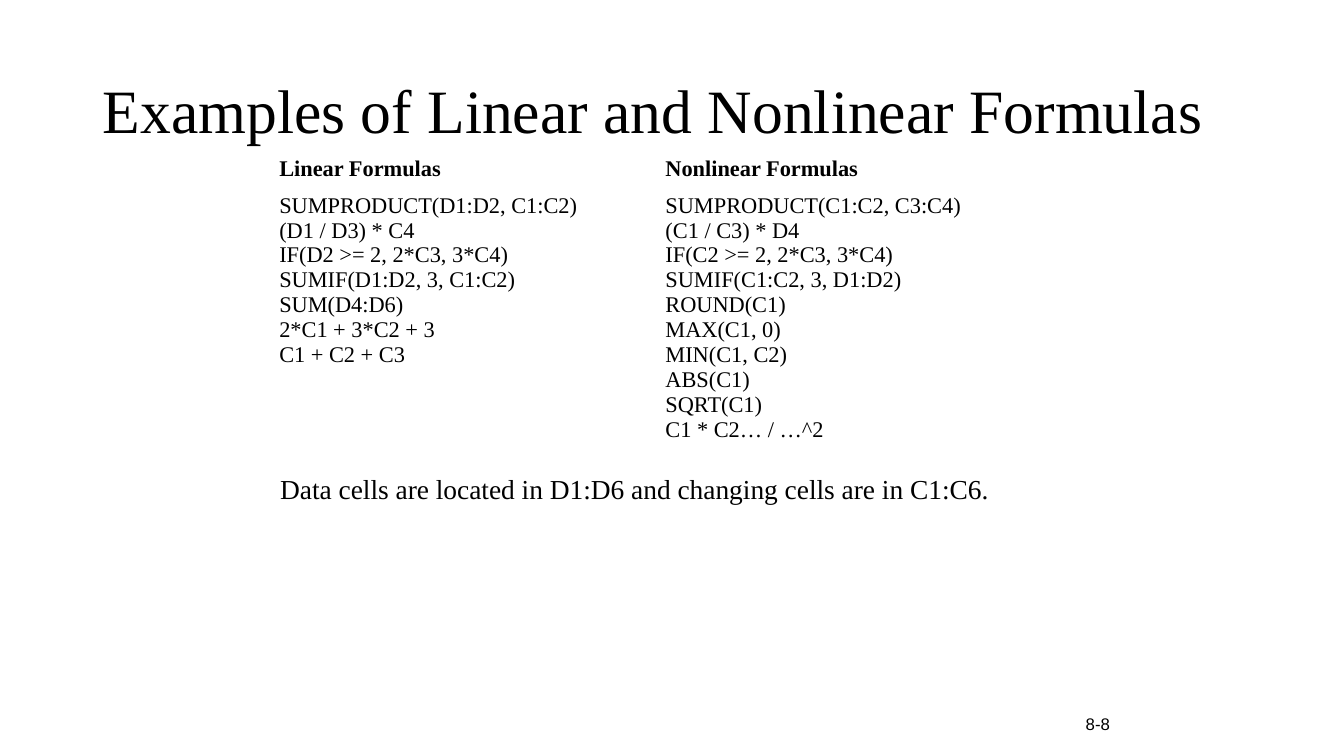
import pptx
import pptx.util
import pptx.dml.color
import pptx.enum.text

COLORS = {"text": "000000"}
SERIF, SANS = "Times New Roman", "Arial"
Inches = pptx.util.Inches

presentation = pptx.Presentation()
presentation.slide_width = Inches(13.33)
presentation.slide_height = Inches(7.5)
slide = presentation.slides.add_slide(presentation.slide_layouts[6])


def write_lines(paragraph, lines, size, font=SERIF, bold=False):
    for index, line in enumerate(lines):
        if index:
            paragraph.add_line_break()
        run = paragraph.add_run()
        run.text = line
        run.font.name = font
        run.font.size = pptx.util.Pt(size)
        run.font.bold = bold
        run.font.color.rgb = pptx.dml.color.RGBColor.from_string(COLORS["text"])


def add_text(left, top, width, height, text, size, font=SERIF):
    frame = slide.shapes.add_textbox(*map(Inches, (left, top, width, height))).text_frame
    frame.word_wrap = True
    write_lines(frame.paragraphs[0], [text], size, font)
    return frame


# Title
title = add_text(0.92, 0.4, 11.5, 1.45, "Examples of Linear and Nonlinear Formulas", 44)
title.vertical_anchor = pptx.enum.text.MSO_ANCHOR.MIDDLE
title.paragraphs[0].line_spacing = 0.9

# Formula table: one column per kind, a heading above its formulas
formula_columns = [
    ("Linear Formulas", 3.83, [
        "SUMPRODUCT(D1:D2, C1:C2)", "(D1 / D3) * C4", "IF(D2 >= 2, 2*C3, 3*C4)",
        "SUMIF(D1:D2, 3, C1:C2)", "SUM(D4:D6)", "2*C1 + 3*C2 + 3", "C1 + C2 + C3"]),
    ("Nonlinear Formulas", 3.58, [
        "SUMPRODUCT(C1:C2, C3:C4)", "(C1 / C3) * D4", "IF(C2 >= 2, 2*C3, 3*C4)",
        "SUMIF(C1:C2, 3, D1:D2)", "ROUND(C1)", "MAX(C1, 0)", "MIN(C1, C2)",
        "ABS(C1)", "SQRT(C1)", "C1 * C2… / …^2"]),
]
row_heights = [0.32, 2.85]
table = slide.shapes.add_table(
    len(row_heights), len(formula_columns),
    Inches(2.67), Inches(1.5), Inches(7.42), Inches(sum(row_heights))).table
table.first_row = False
table.horz_banding = False
for row, height in zip(table.rows, row_heights):
    row.height = Inches(height)
for column, (heading, width, formulas) in enumerate(formula_columns):
    table.columns[column].width = Inches(width)
    for row, lines in enumerate([[heading], formulas]):
        cell = table.cell(row, column)
        cell.fill.background()
        write_lines(cell.text_frame.paragraphs[0], lines, 16, bold=row == 0)

# Remove the table style so that no cell borders show
style_id = table._tbl.tblPr.find(pptx.oxml.ns.qn("a:tableStyleId"))
style_id.text = "{2D5ABB26-0587-4C30-8999-92F81FD0307C}"

# Note on the cell ranges
note = add_text(2.68, 4.72, 7.75, 0.5,
                "Data cells are located in D1:D6 and changing cells are in C1:C6.", 19.6)
note.paragraphs[0].line_spacing = 0.7

# Slide number
add_text(10.67, 7.03, 1, 0.3, "8-8", 12, SANS)

presentation.save("out.pptx")
